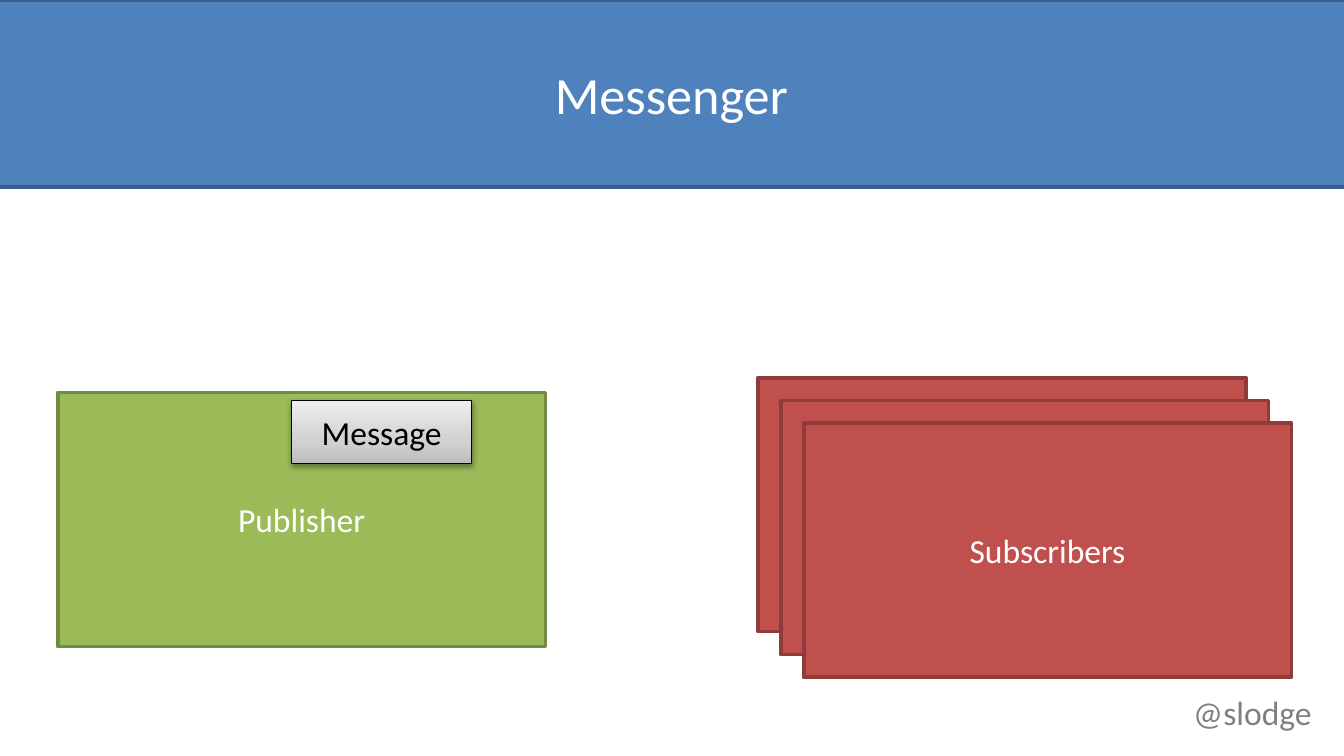
from lxml.etree import SubElement
from pptx import Presentation
from pptx.dml.color import RGBColor
from pptx.enum.shapes import MSO_SHAPE
from pptx.enum.text import MSO_ANCHOR, MSO_AUTO_SIZE, PP_ALIGN
from pptx.oxml.ns import qn
from pptx.util import Inches, Pt

WIDTH = 10
HEIGHT = WIDTH * 9 / 16
CARD = (3.63, 1.89)
STACK_START, STACK_STEP = (5.64, 2.81), 0.17
STACK_LABELS = ["", "", "Subscribers"]

BANNER = {"fill": "4F81BD", "line": "3A5F8C", "size": 28}
PUBLISHER = {"fill": "9BBB59", "line": "738A42"}
SUBSCRIBER = {"fill": "C0504D", "line": "8E3B39"}
MESSAGE = {"line": "000000", "line_width": 0.75, "color": "000000"}
MESSAGE_STOPS = [(0, "BDBDBD"), (35, "D1D1D1"), (100, "EEEEEE")]
HANDLE = {"color": "808080"}


def rgb(value):
    return RGBColor.from_string(value)


def write(shape, text, size=18, color="FFFFFF", align=PP_ALIGN.CENTER):
    paragraph = shape.text_frame.paragraphs[0]
    paragraph.alignment = align
    run = paragraph.add_run()
    run.text = text
    for name, value in {"name": "Calibri", "size": Pt(size)}.items():
        setattr(run.font, name, value)
    run.font.color.rgb = rgb(color)


def add_box(slide, text, box, line, fill=None, line_width=2, **text_format):
    shape = slide.shapes.add_shape(MSO_SHAPE.RECTANGLE, *map(Inches, box))
    shape.shadow.inherit = False
    if fill:
        shape.fill.solid()
        shape.fill.fore_color.rgb = rgb(fill)
    shape.line.color.rgb = rgb(line)
    shape.line.width = Pt(line_width)
    shape.text_frame.vertical_anchor = MSO_ANCHOR.MIDDLE
    if text:
        write(shape, text, **text_format)
    return shape


def add_color(parent, value):
    return SubElement(parent, qn("a:srgbClr"), val=value)


def shade_upwards(shape, stops):
    """Fill with a gradient whose first stop lies at the bottom."""
    shape.fill.gradient()
    shape.fill.gradient_angle = 90
    stop_list = shape.element.spPr.find(".//" + qn("a:gsLst"))
    for stop in list(stop_list):
        stop_list.remove(stop)
    for position, color in stops:
        add_color(SubElement(stop_list, qn("a:gs"), pos=str(position * 1000)), color)


def drop_shadow(shape, blur=3.15, distance=1.57, opacity=38):
    effects = shape.element.spPr.find(qn("a:effectLst"))
    shadow = SubElement(effects, qn("a:outerShdw"), blurRad=str(Pt(blur)),
                        dist=str(Pt(distance)), dir="5400000", rotWithShape="0")
    SubElement(add_color(shadow, "000000"), qn("a:alpha"), val=str(opacity * 1000))


def add_handle(slide, text, box):
    shape = slide.shapes.add_textbox(*map(Inches, box))
    shape.text_frame.word_wrap = False
    shape.text_frame.auto_size = MSO_AUTO_SIZE.SHAPE_TO_FIT_TEXT
    write(shape, text, align=PP_ALIGN.LEFT, **HANDLE)


def main():
    presentation = Presentation()
    presentation.slide_width = Inches(WIDTH)
    presentation.slide_height = Inches(HEIGHT)
    slide = presentation.slides.add_slide(presentation.slide_layouts[6])

    add_handle(slide, "@slodge", (8.78, 5.1, 1.09, 0.4))
    add_box(slide, "Publisher", (0.43, 2.92, *CARD), **PUBLISHER)
    add_box(slide, "Messenger", (-0.28, 0, 10.55, 1.39), **BANNER)
    for index, label in enumerate(STACK_LABELS):
        left, top = (start + index * STACK_STEP for start in STACK_START)
        add_box(slide, label, (left, top, *CARD), **SUBSCRIBER)
    message = add_box(slide, "Message", (2.17, 2.98, 1.34, 0.47), **MESSAGE)
    shade_upwards(message, MESSAGE_STOPS)
    drop_shadow(message)

    presentation.save("out.pptx")


if __name__ == "__main__":
    main()
